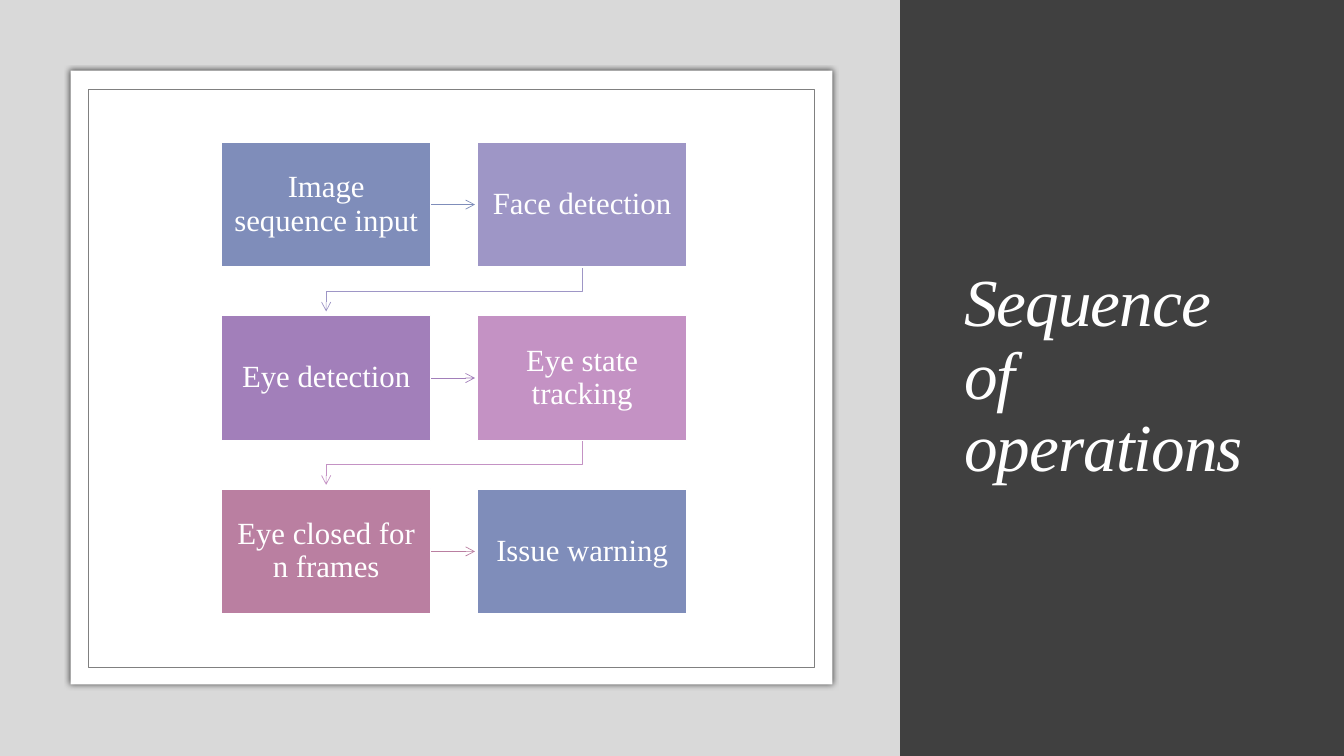
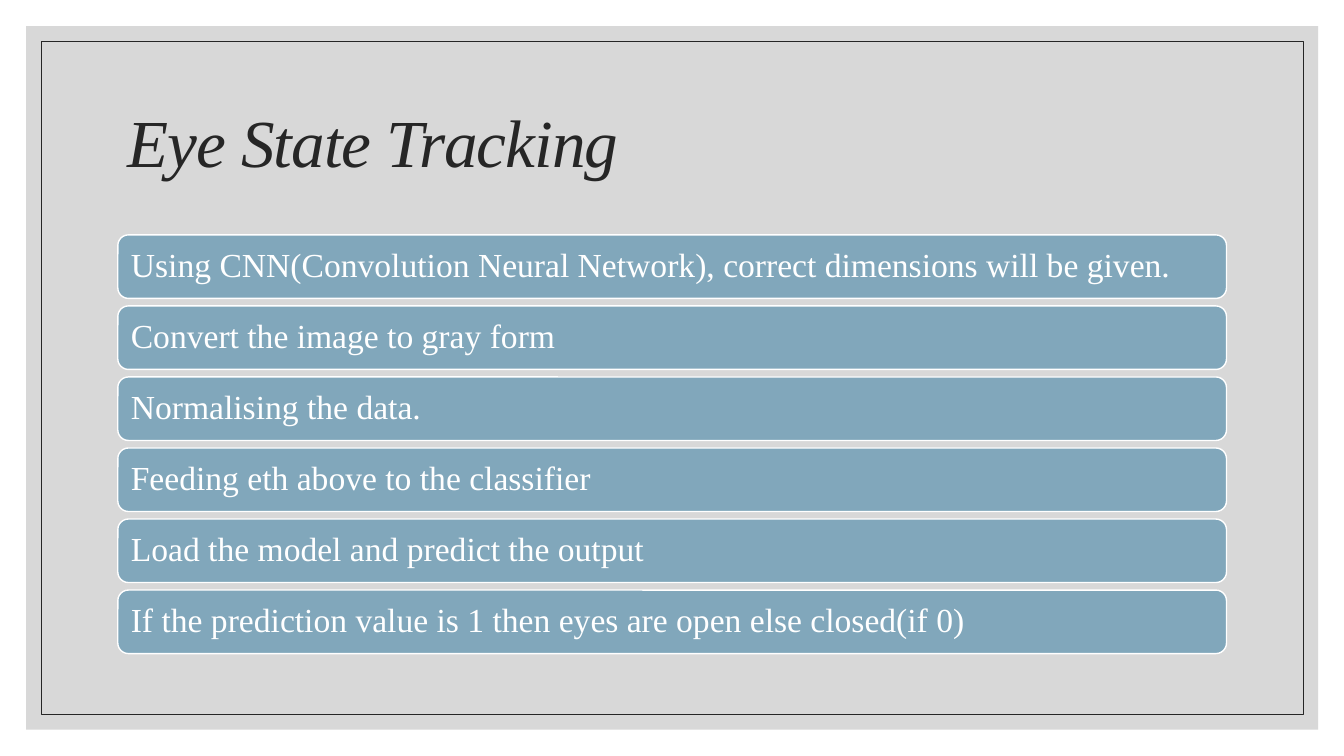
from lxml.etree import SubElement
from pptx import Presentation
from pptx.dml.color import RGBColor
from pptx.enum.shapes import MSO_CONNECTOR, MSO_SHAPE
from pptx.enum.text import MSO_ANCHOR, MSO_AUTO_SIZE, PP_ALIGN
from pptx.oxml.ns import qn
from pptx.util import Cm, Pt

WHITE = RGBColor(0xFF, 0xFF, 0xFF)
BLACK = RGBColor(0x00, 0x00, 0x00)
INK = RGBColor(0x26, 0x26, 0x26)
CHARCOAL = RGBColor(0x40, 0x40, 0x40)
GRAY = RGBColor(0x80, 0x80, 0x80)
SILVER = RGBColor(0xBF, 0xBF, 0xBF)
LIGHT = RGBColor(0xD9, 0xD9, 0xD9)
TEAL = RGBColor(0x81, 0xA7, 0xBB)
BLUE = RGBColor(0x7F, 0x8D, 0xBA)
LAVENDER = RGBColor(0x9E, 0x96, 0xC6)
PURPLE = RGBColor(0xA2, 0x7F, 0xBA)
PINK = RGBColor(0xC4, 0x92, 0xC4)
ROSE = RGBColor(0xBA, 0x7F, 0xA1)

FONT = "Times New Roman"
SLIDE_W, SLIDE_H = Cm(33.87), Cm(19.05)
HAIRLINE = Pt(0.5)
TITLE_FONT = {"name": FONT, "size": Pt(48), "italic": True}
TITLE_FRAME = {
    "auto_size": MSO_AUTO_SIZE.NONE,
    "word_wrap": True,
    "vertical_anchor": MSO_ANCHOR.MIDDLE,
}
LABEL_FRAME = {
    "word_wrap": True,
    "vertical_anchor": MSO_ANCHOR.MIDDLE,
    "margin_left": Cm(0.25),
    "margin_right": Cm(0.25),
    "margin_top": Cm(0.25),
    "margin_bottom": Cm(0.25),
}

STEPS = [
    ("Image sequence input", BLUE),
    ("Face detection", LAVENDER),
    ("Eye detection", PURPLE),
    ("Eye state tracking", PINK),
    ("Eye closed for n frames", ROSE),
    ("Issue warning", BLUE),
]
TRACKING_POINTS = [
    "Using CNN(Convolution Neural Network), correct dimensions will be given.",
    "Convert the image to gray form",
    "Normalising the data.",
    "Feeding eth above to the classifier",
    "Load the model and predict the output",
    "If the prediction value is 1 then eyes are open else closed(if 0)",
]


def set_all(target, values):
    for name, value in values.items():
        setattr(target, name, value)


def add_box(s, box, fill=None, line=None, width=HAIRLINE, kind=MSO_SHAPE.RECTANGLE):
    sp = s.shapes.add_shape(kind, *box)
    sp.shadow.inherit = False
    if fill is None:
        sp.fill.background()
    else:
        sp.fill.solid()
        sp.fill.fore_color.rgb = fill
    if line is None:
        sp.line.fill.background()
    else:
        sp.line.color.rgb = line
        sp.line.width = width
    return sp


def add_panel(s, box, **style):
    """Add a box that lies behind the title."""
    sp = add_box(s, box, **style)
    s.shapes.title.element.addprevious(sp.element)
    return sp


def add_label(sp, text, size, align):
    tf = sp.text_frame
    set_all(tf, LABEL_FRAME)
    p = tf.paragraphs[0]
    set_all(p, {"alignment": align, "line_spacing": 0.9})
    r = p.add_run()
    r.text = text
    set_all(r.font, {"name": FONT, "size": size})
    r.font.color.rgb = WHITE


def set_title(s, text, box, color):
    title = s.shapes.title
    set_all(title, dict(zip(("left", "top", "width", "height"), box)))
    tf = title.text_frame
    set_all(tf, TITLE_FRAME)
    p = tf.paragraphs[0]
    set_all(p, {"alignment": PP_ALIGN.LEFT, "line_spacing": 0.9})
    r = p.add_run()
    r.text = text
    set_all(r.font, TITLE_FONT)
    r.font.color.rgb = color
    r.font._element.set("spc", "-70")


def set_alpha(color_element, percent):
    SubElement(color_element, qn("a:alpha"), val=str(percent * 1000))


def add_soft_shadow(sp):
    effects = sp.element.spPr.find(qn("a:effectLst"))
    shadow = SubElement(effects, qn("a:outerShdw"), blurRad=str(Pt(4)), dist="0")
    set_alpha(SubElement(shadow, qn("a:srgbClr"), val=str(BLACK)), 66)


def style_arrow(arrow, color):
    arrow.line.color.rgb = color
    arrow.line.width = HAIRLINE
    SubElement(arrow.element.spPr.find(qn("a:ln")), qn("a:tailEnd"), type="arrow")


def add_straight_arrow(s, x, y, length, color):
    arrow = s.shapes.add_connector(MSO_CONNECTOR.STRAIGHT, x, y, x + length, y)
    style_arrow(arrow, color)
    SubElement(arrow.element.spPr, qn("a:effectLst"))


def add_return_arrow(s, x, y, left, drop, color):
    """Lead down from (x, y), back to left and down again."""
    bend = y + Cm(0.61)
    builder = s.shapes.build_freeform(x, y)
    builder.add_line_segments(
        [(x, bend), (left, bend), (left, y + drop)], close=False)
    arrow = builder.convert_to_shape()
    arrow.shadow.inherit = False
    arrow.fill.background()
    style_arrow(arrow, color)


def add_flow(s, left, top, steps, columns=2):
    box_w, box_h = Cm(5.26), Cm(3.15)
    pitch_x, pitch_y = Cm(6.45), Cm(4.37)
    reach = Cm(1.12)
    for i, (text, color) in enumerate(steps):
        row, column = divmod(i, columns)
        x, y = left + column * pitch_x, top + row * pitch_y
        if i < len(steps) - 1:
            if column < columns - 1:
                add_straight_arrow(s, x + box_w, y + box_h // 2, reach, color)
            else:
                add_return_arrow(s, x + box_w // 2, y + box_h,
                                 left + box_w // 2, reach, color)
        sp = add_box(s, (x, y, box_w, box_h), fill=color, line=WHITE, width=Pt(1))
        add_label(sp, text, Pt(22), PP_ALIGN.CENTER)


def add_bar_list(s, left, top, width, texts):
    height, pitch = Cm(1.6), Cm(1.79)
    for i, text in enumerate(texts):
        sp = add_box(s, (left, top + i * pitch, width, height), fill=TEAL,
                     line=WHITE, width=Pt(1), kind=MSO_SHAPE.ROUNDED_RECTANGLE)
        add_label(sp, text, Pt(24), PP_ALIGN.LEFT)


def add_sequence_slide(prs):
    s = prs.slides.add_slide(prs.slide_layouts[5])
    add_panel(s, (0, 0, SLIDE_W, SLIDE_H), fill=CHARCOAL)
    set_title(s, "Sequence of operations",
              (Cm(24.05), Cm(1.78), Cm(8.03), Cm(15.47)), WHITE)
    add_box(s, (0, 0, Cm(22.68), SLIDE_H), fill=LIGHT)
    card = add_box(s, (Cm(1.78), Cm(1.78), Cm(19.2), Cm(15.47)), fill=WHITE)
    add_soft_shadow(card)
    add_box(s, (Cm(2.24), Cm(2.26), Cm(18.29), Cm(14.55)), fill=WHITE, line=GRAY)
    add_flow(s, Cm(5.59), Cm(3.58), STEPS)


def add_tracking_slide(prs):
    s = prs.slides.add_slide(prs.slide_layouts[5])
    band = add_panel(s, (Cm(0.66), Cm(0.66), Cm(32.56), Cm(17.73)), fill=SILVER)
    set_alpha(band.element.spPr.find(qn("a:solidFill"))[0], 60)
    add_panel(s, (Cm(1.04), Cm(1.04), Cm(31.8), Cm(16.97)), line=INK)
    left, width = Cm(2.97), Cm(27.94)
    set_title(s, "Eye State Tracking", (left, Cm(1.78), width, Cm(3.81)), INK)
    add_bar_list(s, left, Cm(5.92), width, TRACKING_POINTS)


def main():
    prs = Presentation()
    set_all(prs, {"slide_width": SLIDE_W, "slide_height": SLIDE_H})
    add_sequence_slide(prs)
    add_tracking_slide(prs)
    prs.save("out.pptx")


if __name__ == "__main__":
    main()
